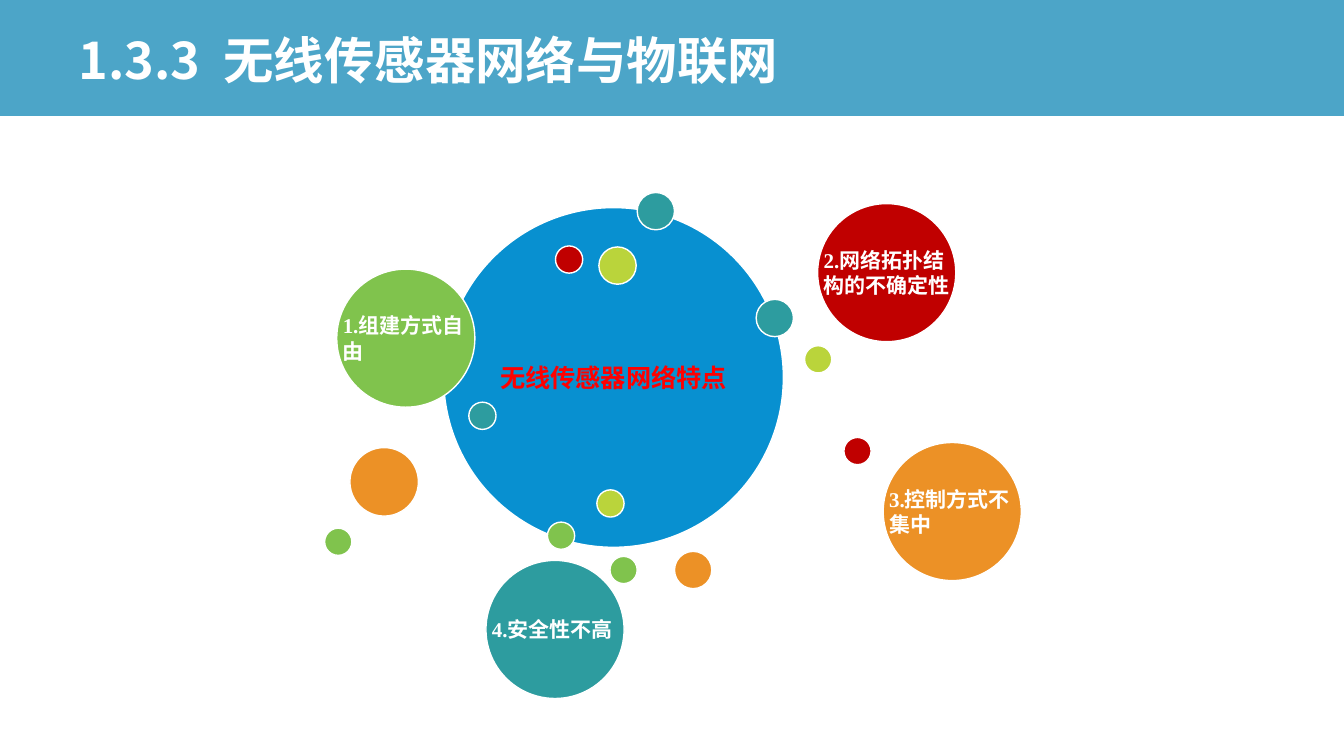
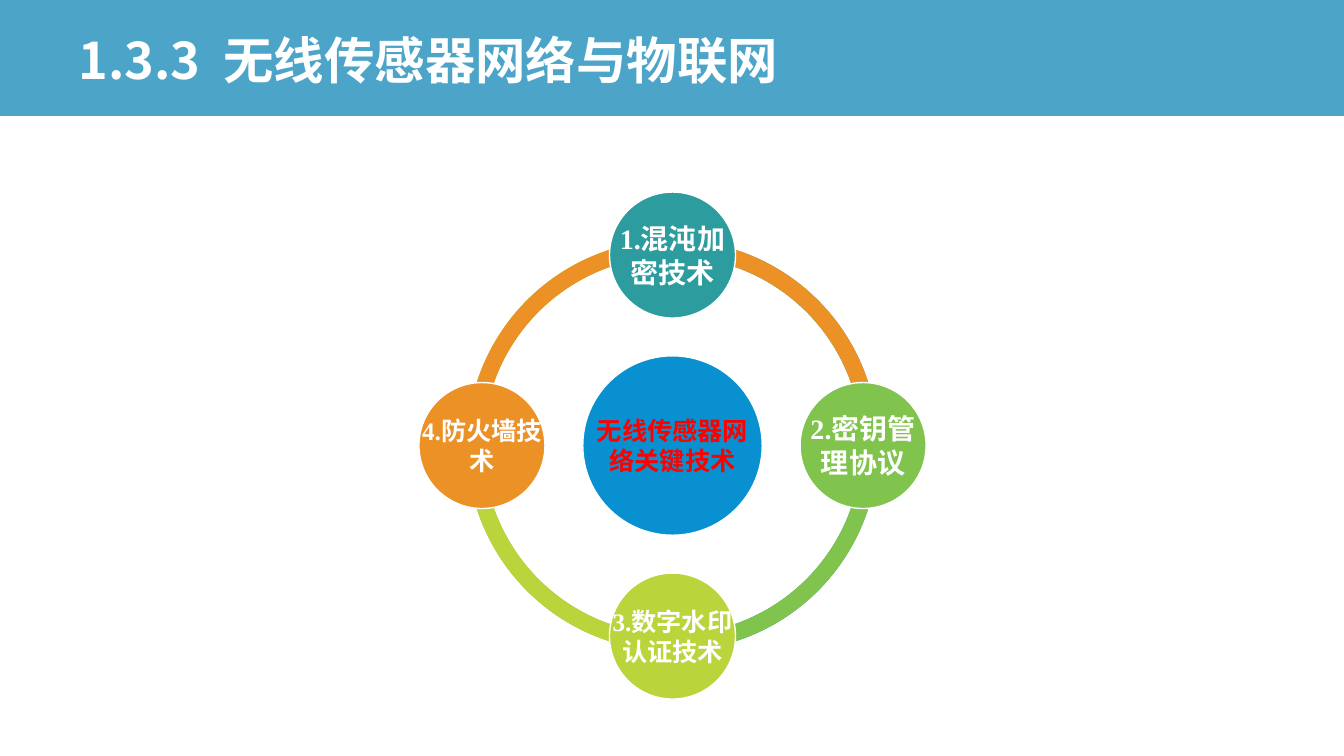
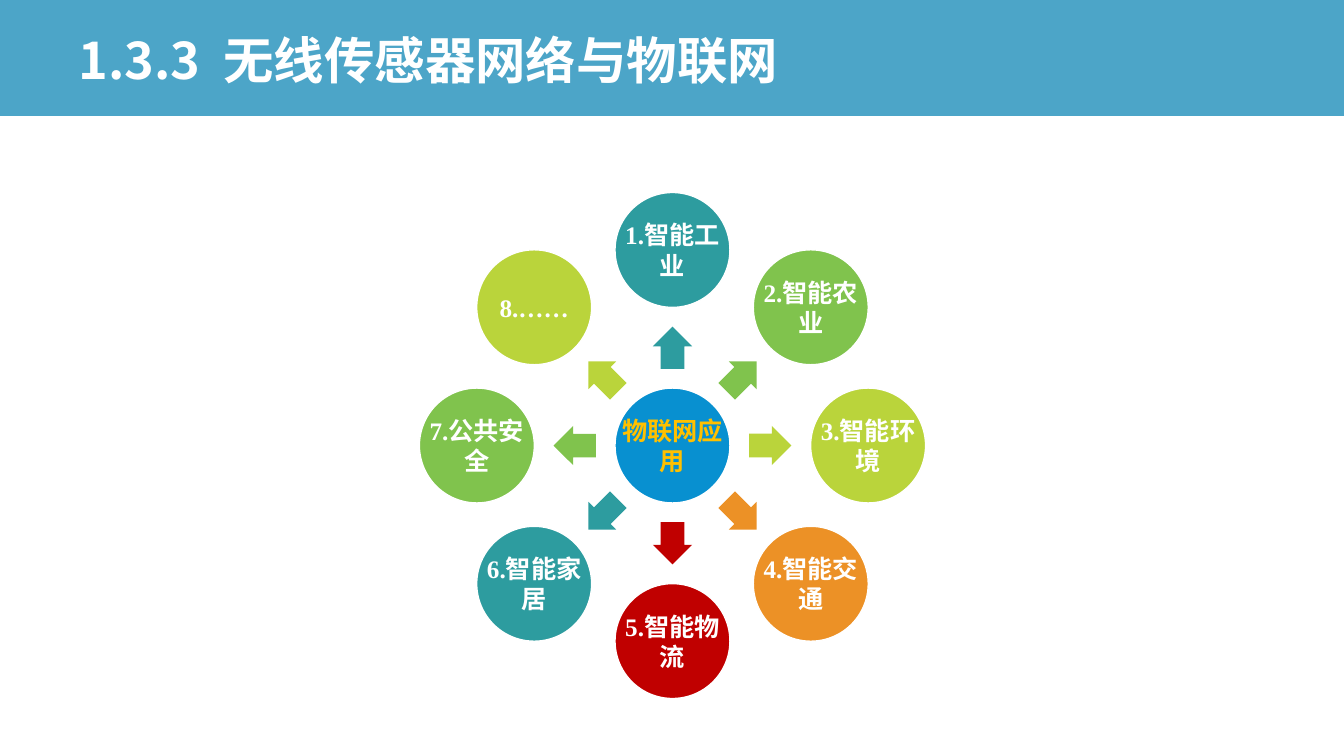
import math

import pptx
import pptx.dml.color
import pptx.enum.shapes
import pptx.enum.text
import pptx.oxml
import pptx.oxml.ns
import pptx.util

Inches = pptx.util.Inches
Form = pptx.enum.shapes.MSO_SHAPE
Align = pptx.enum.text.PP_ALIGN

BLUE, TEAL, GREEN, LIME = "0890D0", "2D9C9F", "80C34D", "BAD43B"
GOLD, RED, WHITE = "EC9126", "C00000", "FFFFFF"
SANS, SERIF = "Noto Sans CJK SC", "Times New Roman"
TITLE = "1.3.3  无线传感器网络与物联网"
MID_X, MID_Y = 6.67, 4.42


def tint(code):
    return pptx.dml.color.RGBColor.from_string(code)


def apply(item, values):
    for key, value in values.items():
        setattr(item, key, value)


def child(parent, tag, **values):
    node = pptx.oxml.parse_xml(f"<a:{tag} {pptx.oxml.ns.nsdecls('a')}/>")
    for key, value in values.items():
        node.set(key, value)
    parent.append(node)


class Deck:
    def __init__(self):
        self.file = pptx.Presentation()
        apply(self.file, {"slide_width": Inches(13.33), "slide_height": Inches(7.5)})

    def page(self):
        self.slide = self.file.slides.add_slide(self.file.slide_layouts[6])
        band = self.shape(Form.RECTANGLE, -0.01, -0.02, 13.35, 1.17, "0080B2")
        shade = band.fill._xPr.find(".//" + pptx.oxml.ns.qn("a:srgbClr"))
        child(shade, "alpha", val="70000")
        self.text(TITLE, 0.68, 0.19, 11.98, 0.87, 36, SANS,
                  pad=(0.1, 0.05), para={"line_spacing": 0.9})

    def shape(self, form, left, top, width, height, fill, edge=None):
        item = self.slide.shapes.add_shape(
            form, Inches(left), Inches(top), Inches(width), Inches(height))
        item.shadow.inherit = False
        item.fill.solid()
        item.fill.fore_color.rgb = tint(fill)
        if edge:
            item.line.color.rgb = tint(edge)
            item.line.width = pptx.util.Pt(1)
        else:
            item.line.fill.background()
        return item

    def text(self, words, left, top, width, height, size, font,
             color=WHITE, pad=(0.03, 0.03), para=None):
        box = self.slide.shapes.add_textbox(
            Inches(left), Inches(top), Inches(width), Inches(height))
        side, edge = map(Inches, pad)
        apply(box.text_frame, {
            "word_wrap": True,
            "vertical_anchor": pptx.enum.text.MSO_ANCHOR.MIDDLE,
            "margin_left": side, "margin_right": side,
            "margin_top": edge, "margin_bottom": edge})
        line = box.text_frame.paragraphs[0]
        apply(line, para or {"alignment": Align.CENTER})
        run = line.add_run()
        run.text = words
        apply(run.font, {"size": pptx.util.Pt(size), "name": font, "bold": True})
        run.font.color.rgb = tint(color)
        child(run.font._element, "ea", typeface=SANS)

    def dot(self, left, top, size, fill):
        self.shape(Form.OVAL, left, top, size, size, fill, WHITE)

    def disc(self, words, left, top, size, fill, points=18, font=SERIF, **style):
        self.dot(left, top, size, fill)
        self.text(words, left, top, size, size, points, font, **style)

    def node(self, words, size, fill, reach=0, angle=0, **style):
        x, y = polar(reach, angle)
        self.disc(words, x - size / 2, y - size / 2, size, fill, **style)

    def arc(self, start, fill, size=4.08):
        item = self.shape(Form.BLOCK_ARC, MID_X - size / 2, MID_Y - size / 2,
                          size, size, fill)
        for i, value in enumerate((start, (start + 108) % 216, 0.04)):
            item.adjustments[i] = value

    def arrow(self, reach, angle, fill, width=0.42, height=0.39):
        x, y = polar(reach, angle)
        item = self.shape(Form.RIGHT_ARROW, x - width / 2, y - height / 2,
                          width, height, fill)
        item.rotation = angle % 360
        item.adjustments[0] = 0.6


def polar(reach, angle):
    turn = math.radians(angle)
    return MID_X + reach * math.cos(turn), MID_Y + reach * math.sin(turn)


def traits(deck):
    deck.page()
    deck.disc("无线传感器网络特点", 4.4, 2.06, 3.37, BLUE,
              font=SANS, color="FF0000", pad=(0.07, 0.07))
    for left, top, size, fill in (
            (6.32, 1.91, 0.37, TEAL), (5.43, 5.18, 0.27, GREEN),
            (7.98, 3.43, 0.27, LIME), (6.69, 5.47, 0.37, GOLD),
            (5.51, 2.44, 0.27, RED), (4.65, 3.99, 0.27, TEAL),
            (5.94, 2.45, 0.37, LIME), (3.47, 4.44, 0.68, GOLD),
            (7.5, 2.97, 0.37, TEAL), (3.22, 5.24, 0.27, GREEN),
            (5.92, 4.86, 0.27, LIME), (8.37, 4.34, 0.27, RED),
            (6.05, 5.52, 0.27, GREEN)):
        deck.dot(left, top, size, fill)
    for words, left, top, fill in (
            ("1.组建方式自由", 3.34, 2.67, GREEN),
            ("2.网络拓扑结构的不确定性", 8.11, 2.02, RED),
            ("3.控制方式不集中", 8.76, 4.39, GOLD),
            ("4.安全性不高", 4.82, 5.56, TEAL)):
        deck.disc(words, left, top, 1.37, fill, 15, pad=(0.06, 0.06),
                  para={"alignment": Align.LEFT})


def methods(deck):
    deck.page()
    steps = (("1.混沌加密技术", TEAL, 20), ("2.密钥管理协议", GREEN, 20),
             ("3.数字水印认证技术", LIME, 18), ("4.防火墙技术", GOLD, 18))
    for i, (words, fill, points) in enumerate(steps):
        deck.arc((162 + 54 * i) % 216, fill)
    deck.node("无线传感器网络关键技术", 1.78, BLUE, font=SANS, color="FF0000")
    for i, (words, fill, points) in enumerate(steps):
        deck.node(words, 1.25, fill, 1.89, 90 * i - 90, points=points)


def uses(deck):
    deck.page()
    deck.node("物联网应用", 1.14, BLUE, color="FFC000")
    names = ("智能工业", "智能农业", "智能环境", "智能交通",
             "智能物流", "智能家居", "公共安全", "……")
    fills = (TEAL, GREEN, LIME, GOLD, RED, TEAL, GREEN, LIME)
    for i, (name, fill) in enumerate(zip(names, fills)):
        angle = 45 * i - 90
        deck.arrow(0.97, angle, fill)
        deck.node(f"{i + 1}.{name}", 1.14, fill, 1.94, angle)


def main():
    deck = Deck()
    for build in (traits, methods, uses):
        build(deck)
    deck.file.save("out.pptx")


if __name__ == "__main__":
    main()
